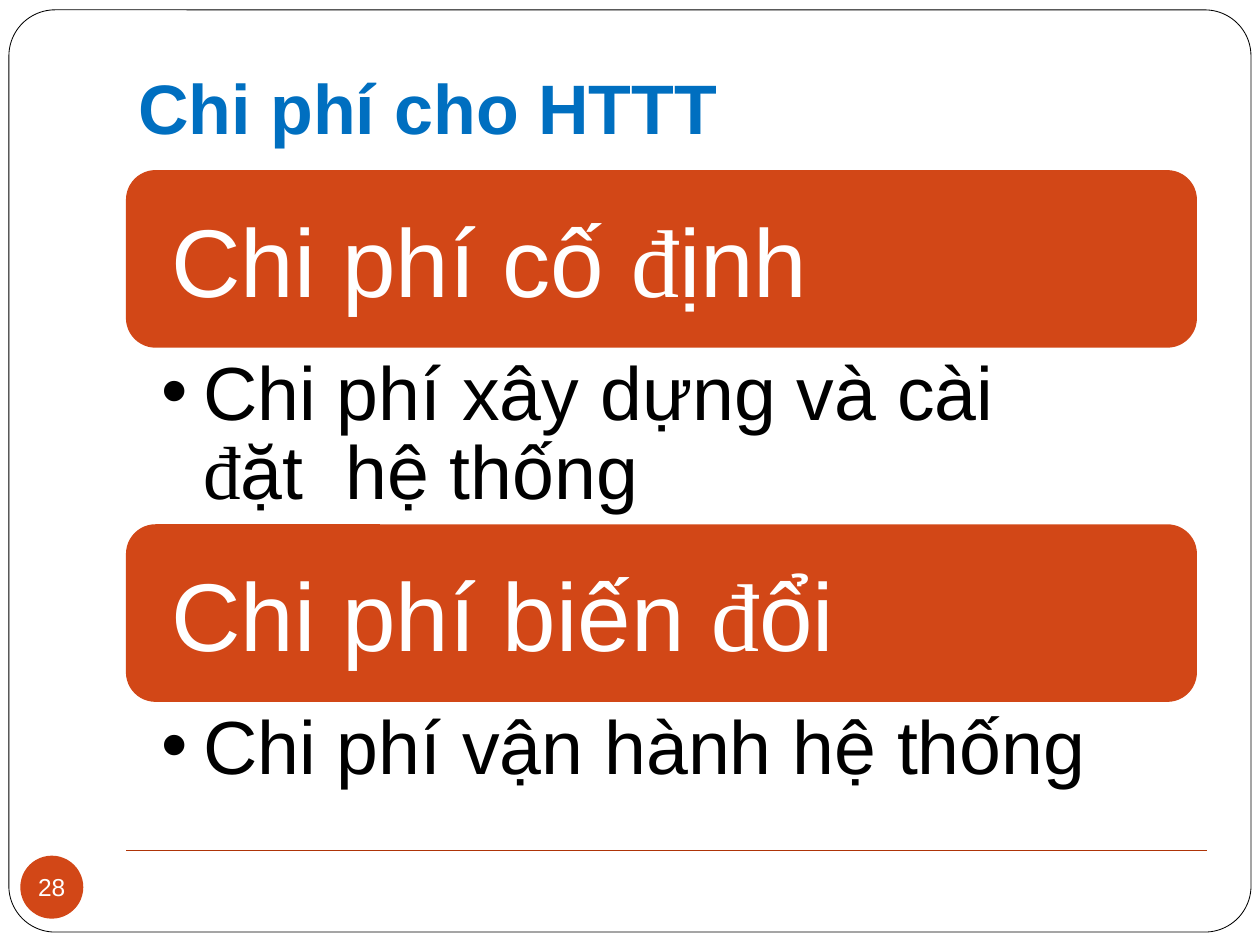
import itertools

import lxml.etree
import pptx
import pptx.dml.color
import pptx.enum.shapes
import pptx.enum.text
import pptx.oxml.ns
import pptx.util
from pptx.util import Cm

ORANGE = "D24717"
WHITE = "FFFFFF"
BLACK = "000000"
TITLE_BLUE = "006FC0"
RULE_RED = "AE3408"

SECTIONS = [
    ("Chi phí cố định", "Chi phí xây dựng và cài đặt  hệ thống"),
    ("Chi phí biến đổi", "Chi phí vận hành hệ thống"),
]
SECTION_TOP = 3.43
SECTION_PITCH = 7.14
BULLET_OFFSET = 3.78


def color(hex_string):
    return pptx.dml.color.RGBColor.from_string(hex_string)


def append_element(parent, tag, **attributes):
    return lxml.etree.SubElement(parent, pptx.oxml.ns.qn(tag), **attributes)


def format_frame(shape, anchor, left_inset=0):
    frame = shape.text_frame
    frame.word_wrap = True
    frame.auto_size = pptx.enum.text.MSO_AUTO_SIZE.NONE
    frame.vertical_anchor = anchor
    frame.margin_left = Cm(left_inset)
    frame.margin_top = frame.margin_right = frame.margin_bottom = 0
    return frame


def write_text(frame, text, size, hex_color, bold=False, align=pptx.enum.text.PP_ALIGN.LEFT):
    """Write one Arial paragraph, with each "đ" set in Times New Roman."""
    paragraph = frame.paragraphs[0]
    paragraph.alignment = align
    for is_stroked_d, letters in itertools.groupby(text, lambda letter: letter == "đ"):
        run = paragraph.add_run()
        run.text = "".join(letters)
        run.font.name = "Times New Roman" if is_stroked_d else "Arial"
        run.font.size = pptx.util.Pt(size)
        run.font.bold = bold
        run.font.color.rgb = color(hex_color)
    return paragraph


def add_filled_shape(slide, kind, left, top, width, height):
    shape = slide.shapes.add_shape(kind, Cm(left), Cm(top), Cm(width), Cm(height))
    shape.shadow.inherit = False
    shape.fill.solid()
    shape.fill.fore_color.rgb = color(ORANGE)
    shape.line.fill.background()
    return shape


def add_frame(slide):
    frame = slide.shapes.add_shape(
        pptx.enum.shapes.MSO_SHAPE.ROUNDED_RECTANGLE, Cm(0.18), Cm(0.2), Cm(25.04), Cm(18.59))
    frame.adjustments[0] = 0.05
    frame.shadow.inherit = False
    frame.fill.background()
    frame.line.color.rgb = color(BLACK)
    frame.line.width = pptx.util.Pt(0.48)


def add_footer_rule(slide):
    rule = slide.shapes.add_connector(
        pptx.enum.shapes.MSO_CONNECTOR.STRAIGHT, Cm(2.54), Cm(17.15), Cm(24.33), Cm(17.15))
    rule.line.color.rgb = color(RULE_RED)
    rule.line.width = pptx.util.Pt(0.72)
    append_element(rule.element.find(pptx.oxml.ns.qn("p:spPr")), "a:effectLst")


def set_title(slide, text):
    title = slide.shapes.title
    title.left, title.top, title.width, title.height = Cm(2.79), Cm(1.3), Cm(21), Cm(1.65)
    frame = format_frame(title, pptx.enum.text.MSO_ANCHOR.TOP)
    write_text(frame, text, 40, TITLE_BLUE, bold=True)


def add_banner(slide, text, top):
    banner = add_filled_shape(
        slide, pptx.enum.shapes.MSO_SHAPE.ROUNDED_RECTANGLE, 2.54, top, 21.59, 3.58)
    frame = format_frame(banner, pptx.enum.text.MSO_ANCHOR.MIDDLE, 0.74)
    write_text(frame, text, 55, WHITE)


def add_bullet(slide, text, top):
    box = slide.shapes.add_textbox(Cm(3.25), Cm(top), Cm(19), Cm(3.2))
    frame = format_frame(box, pptx.enum.text.MSO_ANCHOR.TOP)
    paragraph = write_text(frame, text, 43, BLACK)
    paragraph.line_spacing = pptx.util.Pt(44.7)
    properties = paragraph._p.get_or_add_pPr()
    indent = int(Cm(0.85))
    properties.set("marL", str(indent))
    properties.set("indent", str(-indent))
    append_element(properties, "a:buFont", typeface="Arial")
    append_element(properties, "a:buChar", char="•")


def add_page_number(slide, number):
    badge = add_filled_shape(slide, pptx.enum.shapes.MSO_SHAPE.OVAL, 0.41, 17.25, 1.27, 1.27)
    frame = format_frame(badge, pptx.enum.text.MSO_ANCHOR.MIDDLE)
    write_text(frame, number, 14, WHITE, align=pptx.enum.text.PP_ALIGN.CENTER)


def main():
    presentation = pptx.Presentation()
    presentation.slide_width = Cm(25.4)
    presentation.slide_height = Cm(19.05)
    slide = presentation.slides.add_slide(presentation.slide_layouts[5])
    add_frame(slide)
    add_footer_rule(slide)
    set_title(slide, "Chi phí cho HTTT")
    for index, (heading, detail) in enumerate(SECTIONS):
        top = SECTION_TOP + index * SECTION_PITCH
        add_banner(slide, heading, top)
        add_bullet(slide, detail, top + BULLET_OFFSET)
    add_page_number(slide, "28")
    presentation.save("out.pptx")


if __name__ == "__main__":
    main()
